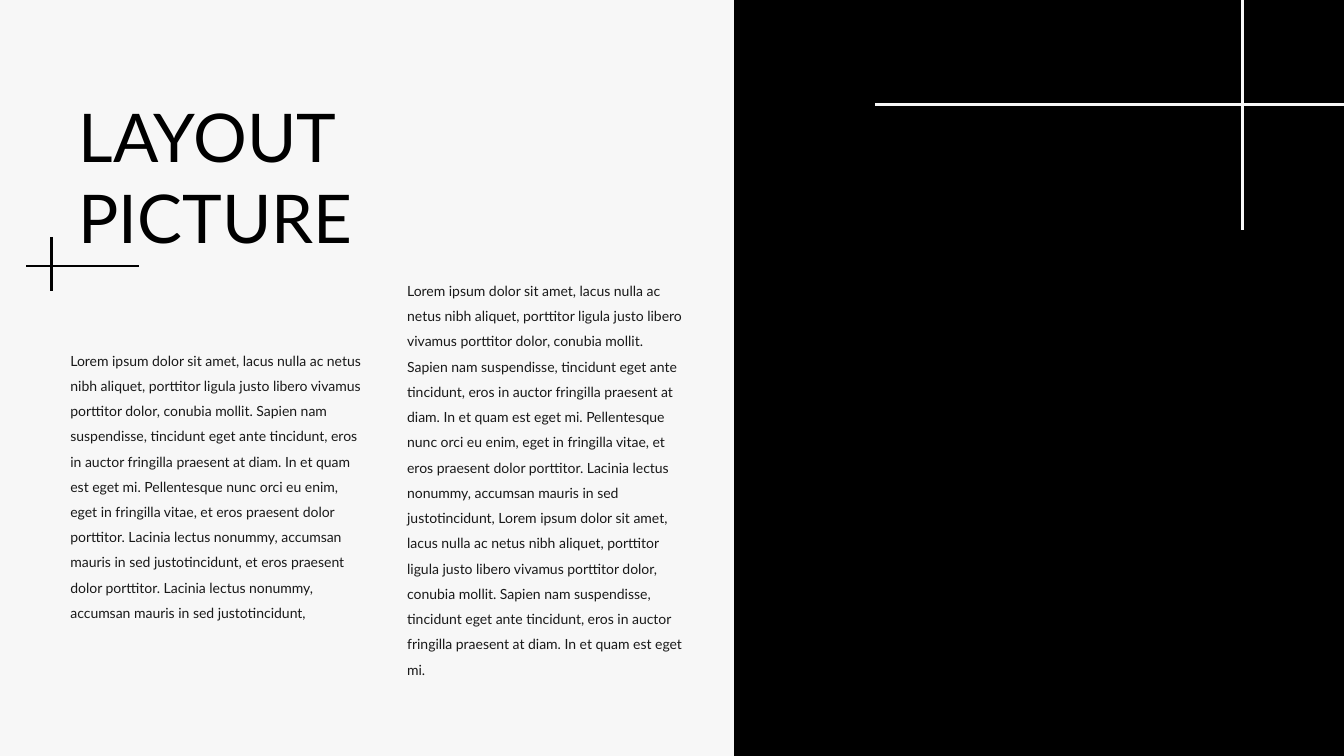
from pptx import Presentation
from pptx import util as u
from pptx.dml.color import RGBColor
from pptx.enum import shapes, text
from pptx.oxml.ns import qn
from lxml import etree

WIDTH, HEIGHT = 13.33, 7.5
COLORS = {"paper": "F7F7F7", "ink": "000000", "body": "191919"}
FONT = "Lato"

HEADING = "LAYOUT\nPICTURE"
OPENING = (
    "Lorem ipsum dolor sit amet, lacus nulla ac netus nibh aliquet, porttitor "
    "ligula justo libero vivamus porttitor dolor, conubia mollit. Sapien nam "
    "suspendisse, tincidunt eget ante tincidunt, eros in auctor fringilla "
    "praesent at diam. In et quam est eget mi."
)
MIDDLE = "Pellentesque nunc orci eu enim, eget in fringilla vitae, et"
LACINIA = (
    "eros praesent dolor porttitor. Lacinia lectus nonummy, accumsan mauris "
    "in sed justotincidunt,"
)

# Boxes are left, top, width, height in inches
PANEL_LEFT = 7.28
HEADING_BOX = (0.68, 0.9, 3.02, 1.72)
COLUMNS = [
    ((3.94, 2.67, 2.97, 4.14), [OPENING, MIDDLE, LACINIA, OPENING]),
    ((0.6, 3.36, 3.1, 3.38), [OPENING, MIDDLE, LACINIA, "et", LACINIA]),
]
# Each cross: colour, horizontal line (x1, x2, y), vertical line (x, y1, y2)
CROSSES = [
    ("ink", (0.26, 1.38, 2.64), (0.51, 2.35, 2.89)),
    ("paper", (8.68, WIDTH, 1.04), (12.32, 0, 2.28)),
]
HEADING_STYLE = {"size": u.Pt(48), "name": FONT, "bold": False}
BODY_STYLE = {"size": u.Pt(10), "name": FONT}


def rgb(color):
    """Return the named colour."""
    return RGBColor.from_string(COLORS[color])


def inches(values):
    """Convert a sequence of lengths to inches."""
    return [u.Inches(value) for value in values]


def write(frame, words, style, color, spacing, wrap):
    """Fill a text frame with formatted, left-aligned paragraphs."""
    frame.text = words
    settings = {
        "word_wrap": wrap,
        "auto_size": text.MSO_AUTO_SIZE.SHAPE_TO_FIT_TEXT,
        "vertical_anchor": text.MSO_ANCHOR.TOP,
    }
    for key, value in settings.items():
        setattr(frame, key, value)
    for paragraph in frame.paragraphs:
        paragraph.alignment = text.PP_ALIGN.LEFT
        paragraph.line_spacing = spacing
        for run in paragraph.runs:
            for key, value in style.items():
                setattr(run.font, key, value)
            run.font.color.rgb = rgb(color)


def add_stroke(slide, color, ends):
    """Draw one straight line between two points."""
    stroke = slide.shapes.add_connector(
        shapes.MSO_CONNECTOR.STRAIGHT, *inches(ends)
    )
    stroke.line.color.rgb = rgb(color)
    stroke.line.width = u.Pt(2)
    etree.SubElement(stroke._element.spPr, qn("a:effectLst"))


def add_cross(slide, color, across, down):
    """Draw a horizontal and a vertical line that cross."""
    x1, x2, y = across
    x, y1, y2 = down
    add_stroke(slide, color, (x1, y, x2, y))
    add_stroke(slide, color, (x, y1, x, y2))


deck = Presentation()
deck.slide_width, deck.slide_height = inches((WIDTH, HEIGHT))
slide = deck.slides.add_slide(deck.slide_layouts[5])
slide.background.fill.solid()
slide.background.fill.fore_color.rgb = rgb("paper")

panel = slide.shapes.add_shape(
    shapes.MSO_SHAPE.RECTANGLE,
    *inches((PANEL_LEFT, 0, WIDTH - PANEL_LEFT, HEIGHT)),
)
panel.shadow.inherit = False
panel.fill.solid()
panel.fill.fore_color.rgb = rgb("ink")
panel.line.fill.background()

for box, sentences in COLUMNS:
    column = slide.shapes.add_textbox(*inches(box))
    write(column.text_frame, " ".join(sentences), BODY_STYLE, "body", 1.5, True)

heading = slide.shapes.title
heading.left, heading.top, heading.width, heading.height = inches(HEADING_BOX)
write(heading.text_frame, HEADING, HEADING_STYLE, "ink", 1.0, False)

for cross in CROSSES:
    add_cross(slide, *cross)

deck.save("out.pptx")
